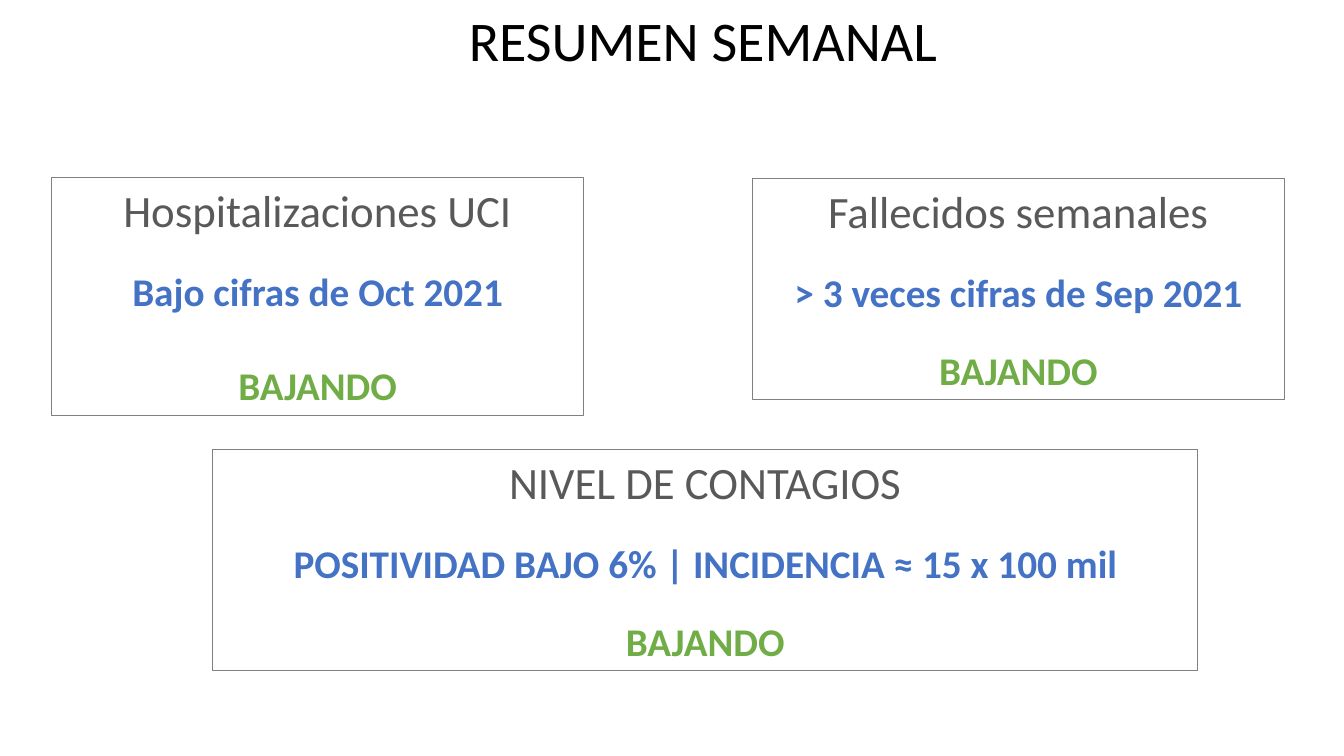
from pptx import Presentation
from pptx.dml.color import RGBColor
from pptx.enum.shapes import MSO_SHAPE
from pptx.enum.text import MSO_ANCHOR, MSO_AUTO_SIZE, PP_ALIGN
from pptx.util import Inches, Pt

RECTANGLE = MSO_SHAPE.RECTANGLE
TOP = MSO_ANCHOR.TOP
NO_AUTOFIT = MSO_AUTO_SIZE.NONE
LEFT, CENTER = PP_ALIGN.LEFT, PP_ALIGN.CENTER

BLACK = RGBColor(0x00, 0x00, 0x00)
GRAY = RGBColor(0x59, 0x59, 0x59)
BORDER = RGBColor(0x80, 0x80, 0x80)
BLUE = RGBColor(0x44, 0x72, 0xC4)
GREEN = RGBColor(0x70, 0xAD, 0x47)

FONT = "Calibri"
GAP = 22
WIDE_GAP = 34

INDICATORS = [
    ((0.51, 1.76, 5.28, 2.36), "Hospitalizaciones UCI", "Bajo cifras de Oct 2021", WIDE_GAP),
    ((7.46, 1.77, 5.28, 2.19), "Fallecidos semanales", "> 3 veces cifras de Sep 2021", GAP),
    ((2.11, 4.46, 9.77, 2.19), "NIVEL DE CONTAGIOS",
     "POSITIVIDAD BAJO 6% | INCIDENCIA ≈ 15 x 100 mil", GAP),
]


def format_paragraph(p, text, size, color, bold=False, align=CENTER, before=0):
    p.text = text
    p.alignment = align
    p.space_before = Pt(before)
    p.font.name = FONT
    p.font.size = Pt(size)
    p.font.bold = bold
    p.font.color.rgb = color


def add_title(slide, box, text):
    title = slide.shapes.title
    title.left, title.top, title.width, title.height = map(Inches, box)
    tf = title.text_frame
    tf.word_wrap = False
    tf.auto_size = NO_AUTOFIT
    tf.vertical_anchor = TOP
    format_paragraph(tf.paragraphs[0], text, 40, BLACK, align=LEFT)


def add_indicator(slide, box, heading, figure, trend, trend_gap):
    sp = slide.shapes.add_shape(RECTANGLE, *map(Inches, box))
    sp.shadow.inherit = False
    sp.fill.background()
    sp.line.color.rgb = BORDER
    sp.line.width = Pt(0.75)
    tf = sp.text_frame
    tf.word_wrap = True
    tf.vertical_anchor = TOP
    format_paragraph(tf.paragraphs[0], heading, 32, GRAY)
    format_paragraph(tf.add_paragraph(), figure, 28, BLUE, True, before=GAP)
    format_paragraph(tf.add_paragraph(), trend, 28, GREEN, True, before=trend_gap)


def main():
    prs = Presentation()
    prs.slide_width, prs.slide_height = Inches(13.33), Inches(7.5)
    slide = prs.slides.add_slide(prs.slide_layouts[5])
    add_title(slide, (4.55, 0, 4.89, 0.77), "RESUMEN SEMANAL")
    for box, heading, figure, trend_gap in INDICATORS:
        add_indicator(slide, box, heading, figure, "BAJANDO", trend_gap)
    prs.save("out.pptx")


if __name__ == "__main__":
    main()
